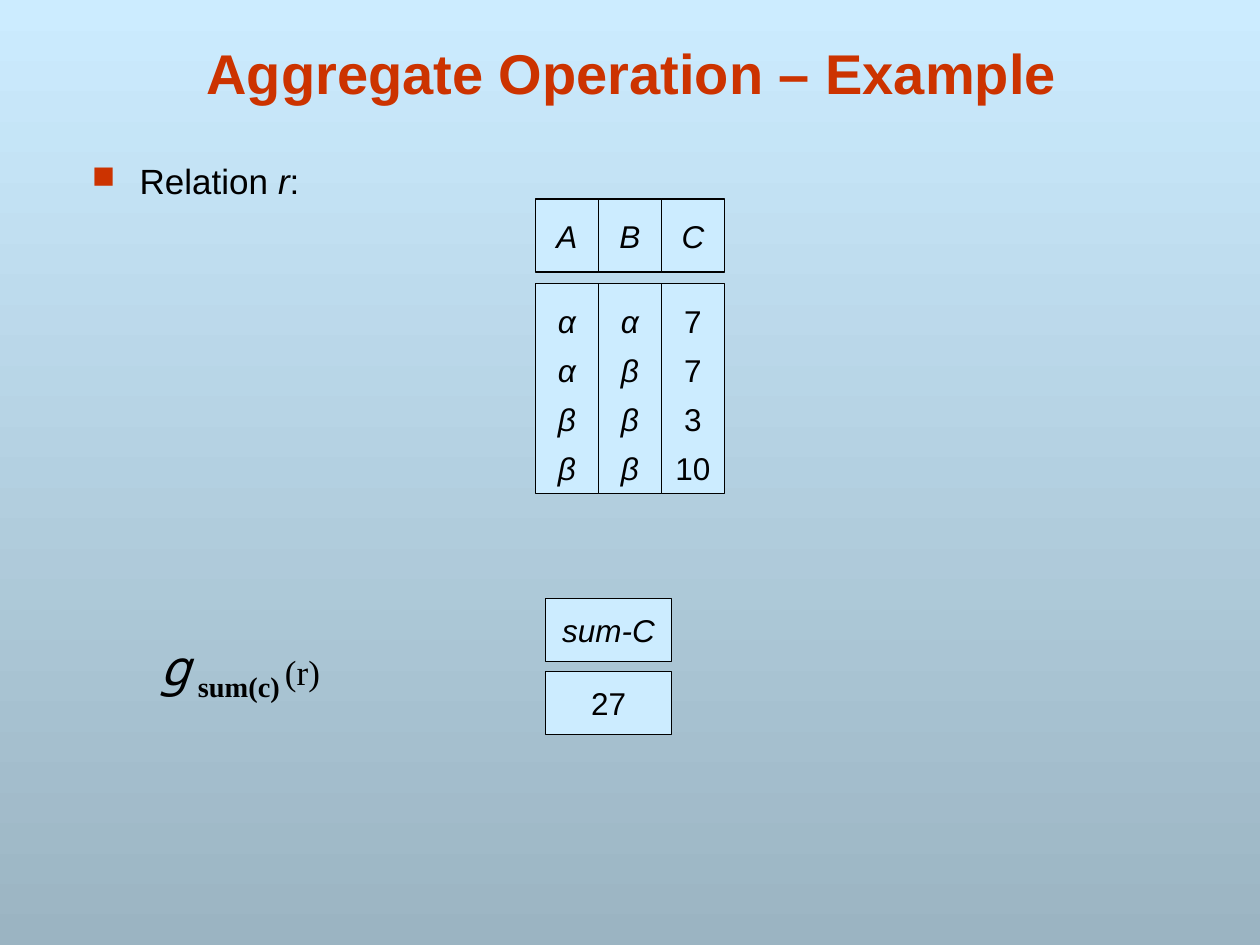
from lxml.etree import SubElement
from pptx import Presentation
from pptx.dml.color import RGBColor
from pptx.enum.shapes import MSO_SHAPE
from pptx.enum.text import MSO_ANCHOR, PP_ALIGN
from pptx.oxml.ns import qn
from pptx.util import Inches, Pt

HUES = {"ink": "000000", "red": "CC3300", "sky": "CCECFF", "slate": "9BB4C2"}
COL, HEAD, BODY = 0.5, 0.58, 1.67
LEFT, TOP, ROW = 4.25, 1.58, 2.25


def hue(name):
    return RGBColor.from_string(HUES[name])


def style(font, size, name="Arial", color="ink", bold=False, italic=False):
    font.size, font.name = Pt(size), name
    font.bold, font.italic = bold, italic
    font.color.rgb = hue(color)


def paint(slide):
    fill = slide.background.fill
    fill.gradient()
    fill.gradient_angle = 270
    for stop, name, place in zip(fill.gradient_stops, ("sky", "slate"), (0, 1)):
        stop.color.rgb = hue(name)
        stop.position = place


def add_text(slide, *area):
    frame = slide.shapes.add_textbox(*map(Inches, area)).text_frame
    frame.word_wrap = True
    return frame


def indent(para, bullet=None):
    para.space_before = Pt(8.8)
    props = para._p.get_or_add_pPr()
    props.set("marL", str(Inches(0.38)))
    props.set("indent", str(-Inches(0.38)))
    if bullet:
        tint = SubElement(props, qn("a:buClr"))
        SubElement(tint, qn("a:srgbClr"), val=HUES["red"])
        SubElement(props, qn("a:buSzPct"), val="90000")
        SubElement(props, qn("a:buChar"), char=bullet)


def add_run(para, text, size, **look):
    run = para.add_run()
    run.text = text
    style(run.font, size, **look)
    return run


def add_title(slide):
    frame = add_text(slide, 0.6, 0.22, 8.83, 0.67)
    frame.vertical_anchor = MSO_ANCHOR.BOTTOM
    para = frame.paragraphs[0]
    para.text = "Aggregate Operation – Example"
    para.alignment = PP_ALIGN.CENTER
    style(para.font, 32, color="red", bold=True)


def add_label(slide):
    para = add_text(slide, 0.63, 1.22, 1.98, 0.63).paragraphs[0]
    indent(para, "■")
    for text, slant in (("Relation ", False), ("r", True), (":", False)):
        add_run(para, text, 20, italic=slant)


def add_query(slide):
    para = add_text(slide, 1.17, 5, 1.77, 0.61).paragraphs[0]
    indent(para)
    add_run(para, "g", 28, name="Noto Sans Mono", italic=True)
    serif = "Times New Roman"
    add_run(para, " ", 20, name=serif, bold=True)
    for text, size in (("sum(c)", 28), (" ", 20)):
        run = add_run(para, text, size, name=serif, bold=True)
        run.font._element.set("baseline", "-25000")
    add_run(para, "(r)", 20, name=serif)


def add_cell(slide, area, lines, italic=True, pitch=None):
    box = slide.shapes.add_shape(MSO_SHAPE.RECTANGLE, *map(Inches, area))
    box.shadow.inherit = False
    box.fill.solid()
    box.fill.fore_color.rgb = hue("sky")
    box.line.color.rgb = hue("ink")
    box.line.width = Pt(0.75)
    frame = box.text_frame
    frame.word_wrap = False
    frame.vertical_anchor = MSO_ANCHOR.MIDDLE
    frame.text = "\n".join(lines)
    for para in frame.paragraphs:
        para.alignment = PP_ALIGN.CENTER
        para.line_spacing = pitch
        style(para.font, 18, italic=italic)


def add_table(slide):
    cols = {"A": "ααββ", "B": "αβββ", "C": ("7", "7", "3", "10")}
    for i, (name, vals) in enumerate(cols.items()):
        x = LEFT + i * COL
        add_cell(slide, (x, TOP, COL, HEAD), [name])
        add_cell(slide, (x, ROW, COL, BODY), vals, name != "C", 1.3)


def add_sum(slide):
    for y, text, slant in ((4.75, "sum-C", True), (5.33, "27", False)):
        add_cell(slide, (4.33, y, 2 * COL, COL), [text], slant)


def main():
    deck = Presentation()
    deck.slide_width, deck.slide_height = Inches(10), Inches(7.5)
    slide = deck.slides.add_slide(deck.slide_layouts[6])
    paint(slide)
    add_title(slide)
    add_label(slide)
    add_table(slide)
    add_query(slide)
    add_sum(slide)
    deck.save("out.pptx")


if __name__ == "__main__":
    main()
